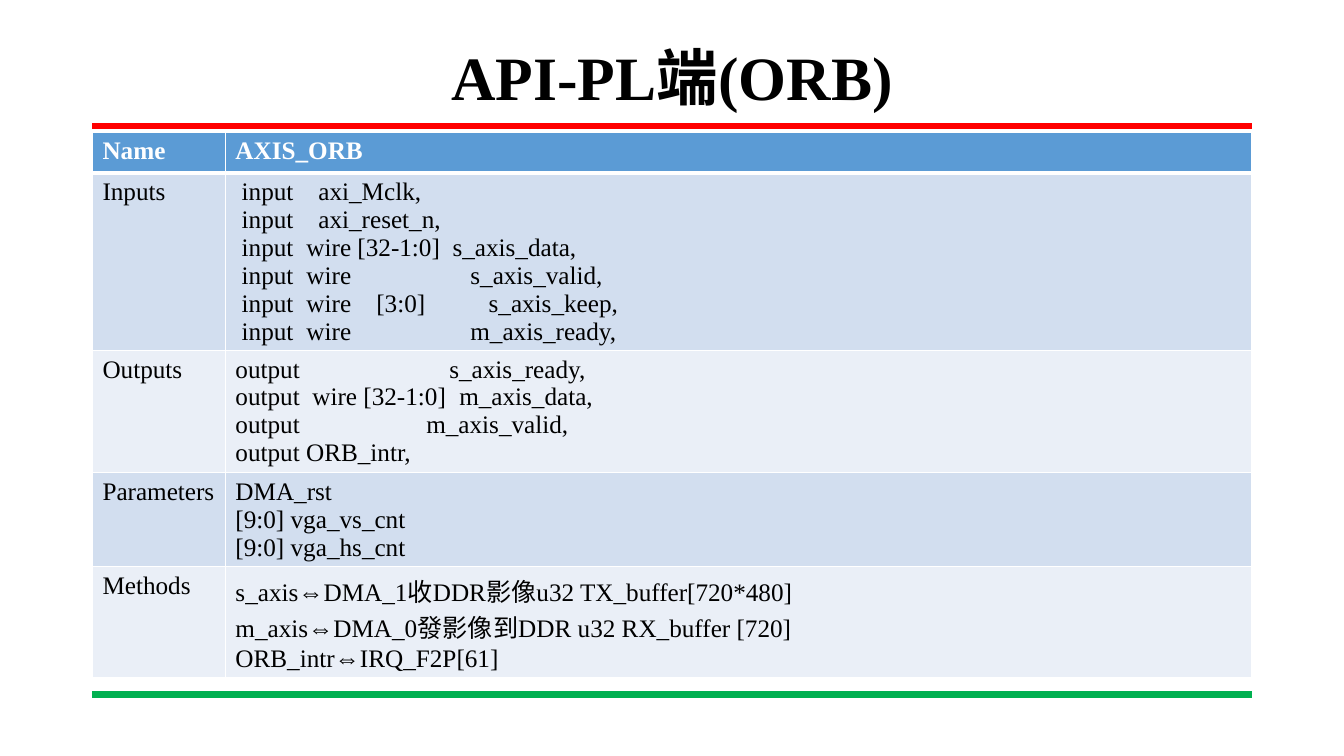
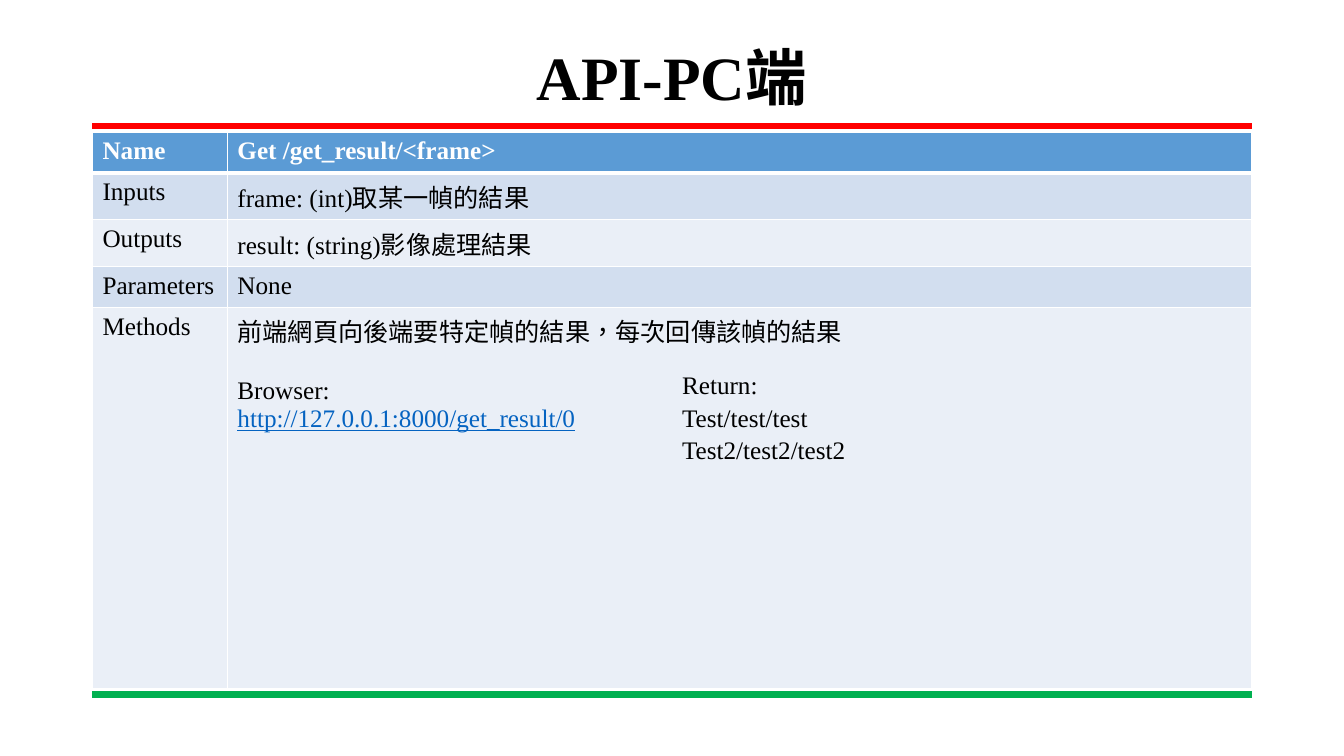
import dataclasses

import lxml.etree
import pptx
import pptx.dml.color
import pptx.enum.lang
import pptx.enum.shapes
import pptx.enum.text
import pptx.oxml.ns
import pptx.util

Cm = pptx.util.Cm
Pt = pptx.util.Pt
qn = pptx.oxml.ns.qn

LEFT, WIDTH = 2.33, 29.21
FIELDS = ("Name", "Inputs", "Outputs", "Parameters", "Methods")


@dataclasses.dataclass
class Line:
    text: str
    tabs: tuple = ()
    space_before: float = 0
    address: bool = False


def colour(value):
    return pptx.dml.color.RGBColor.from_string(value)


def apply(target, values):
    for name, value in values.items():
        setattr(target, name, value)


class Deck:
    black, white = "000000", "FFFFFF"
    top_band, bottom_band = "FF0000", "00B050"
    header, stripes = "5B9BD5", ("EAEFF7", "D2DEEF")
    link = "0563C1"
    font = {
        "name": "Times New Roman",
        "size": Pt(18),
        "bold": False,
        "language_id": pptx.enum.lang.MSO_LANGUAGE_ID.TRADITIONAL_CHINESE,
    }
    title_font = {"size": Pt(44), "bold": True}
    title_frame = {
        "vertical_anchor": pptx.enum.text.MSO_ANCHOR.MIDDLE,
        "auto_size": pptx.enum.text.MSO_AUTO_SIZE.NONE,
        "word_wrap": True,
    }
    title_paragraph = {"alignment": pptx.enum.text.PP_ALIGN.CENTER, "line_spacing": 0.9}

    def __init__(self):
        self.presentation = pptx.Presentation()
        apply(self.presentation, {"slide_width": Cm(33.87), "slide_height": Cm(19.05)})
        self.slide = None

    def add_slide(self, title):
        layout = self.presentation.slide_layouts.get_by_name("Title Only")
        self.slide = self.presentation.slides.add_slide(layout)
        self.band(3.18, self.top_band)
        self.band(17.5, self.bottom_band)
        self.title(title)

    def band(self, top, fill):
        connector = self.slide.shapes.add_connector(
            pptx.enum.shapes.MSO_CONNECTOR.STRAIGHT,
            Cm(LEFT), Cm(top), Cm(LEFT + WIDTH), Cm(top),
        )
        connector.line.width = Pt(4.5)
        connector.line.color.rgb = colour(fill)
        lxml.etree.SubElement(connector._element.spPr, qn("a:effectLst"))

    def title(self, text):
        shape = self.slide.shapes.title
        apply(shape, {"left": Cm(LEFT), "top": Cm(1.02), "width": Cm(WIDTH), "height": Cm(2)})
        apply(shape.text_frame, self.title_frame)
        self.fill_text(shape.text_frame, [text], font=self.title_font, layout=self.title_paragraph)

    def fill_text(self, frame, lines, fill=black, font=None, layout=None):
        for index, line in enumerate(lines):
            if isinstance(line, str):
                line = Line(line)
            paragraph = frame.add_paragraph() if index else frame.paragraphs[0]
            apply(paragraph, {"space_before": Pt(line.space_before), **(layout or {})})
            if line.tabs:
                self.tabs(paragraph, line.tabs)
            run = paragraph.add_run()
            run.text = line.text
            apply(run.font, {**self.font, "underline": line.address, **(font or {})})
            run.font.color.rgb = colour(self.link if line.address else fill)

    def tabs(self, paragraph, stops):
        tab_list = lxml.etree.SubElement(paragraph._p.get_or_add_pPr(), qn("a:tabLst"))
        for stop in stops:
            lxml.etree.SubElement(tab_list, qn("a:tab"), pos=str(int(Cm(stop))), algn="l")

    def borders(self, cell, widths):
        properties = cell._tc.get_or_add_tcPr()
        for side, width in zip("LRTB", widths):
            line = lxml.etree.SubElement(properties, qn(f"a:ln{side}"), w=str(int(Pt(width))))
            solid = lxml.etree.SubElement(line, qn("a:solidFill"))
            lxml.etree.SubElement(solid, qn("a:srgbClr"), val=self.white)

    def table(self, label_width, heights, contents):
        table = self.slide.shapes.add_table(
            len(FIELDS), 2, Cm(LEFT), Cm(3.33), Cm(WIDTH), Cm(sum(heights))
        ).table
        for column, width in zip(table.columns, (label_width, WIDTH - label_width)):
            column.width = Cm(width)
        for index, (field, lines) in enumerate(zip(FIELDS, contents)):
            table.rows[index].height = Cm(heights[index])
            is_header = index == 0
            fill = self.header if is_header else self.stripes[index % 2]
            for cell, cell_lines in zip(table.rows[index].cells, ([field], lines)):
                self.borders(cell, (1, 1, 3 if index == 1 else 1, 3 if is_header else 1))
                cell.fill.solid()
                cell.fill.fore_color.rgb = colour(fill)
                self.fill_text(
                    cell.text_frame, cell_lines,
                    self.white if is_header else self.black, {"bold": is_header},
                )

    def text_box(self, left, top, width, height, lines):
        shape = self.slide.shapes.add_textbox(Cm(left), Cm(top), Cm(width), Cm(height))
        shape.text_frame.word_wrap = False
        self.fill_text(shape.text_frame, lines, layout={"line_spacing": 1.07})


def main():
    deck = Deck()

    deck.add_slide("API-PL端(ORB)")
    deck.table(3.35, (1.03, 4.46, 3.08, 2.37, 2.8), (
        ["AXIS_ORB"],
        [
            Line(" input\taxi_Mclk,", (2.09,)),
            Line(" input\taxi_reset_n,", (2.09,)),
            Line(" input\twire [32-1:0]\ts_axis_data,", (1.79, 5.47)),
            Line(" input\twire\ts_axis_valid,", (1.79, 5.92)),
            Line(" input\twire\t[3:0]\ts_axis_keep,", (1.79, 3.55, 6.38)),
            Line(" input\twire\tm_axis_ready,", (1.79, 5.92)),
        ],
        [
            Line("output\ts_axis_ready,", (5.39,)),
            Line("output\twire [32-1:0]\tm_axis_data,", (1.94, 5.64)),
            Line("output\tm_axis_valid,", (4.81,)),
            "output ORB_intr,",
        ],
        ["DMA_rst", "[9:0] vga_vs_cnt", "[9:0] vga_hs_cnt"],
        [
            "s_axis⇔DMA_1收DDR影像u32 TX_buffer[720*480]",
            "m_axis⇔DMA_0發影像到DDR u32 RX_buffer [720]",
            "ORB_intr⇔IRQ_F2P[61]",
        ],
    ))

    deck.add_slide("API-PC端")
    deck.table(3.4, (1.03, 1.18, 1.18, 1.03, 9.6), (
        ["Get /get_result/<frame>"],
        ["frame: (int)取某一幀的結果"],
        ["result: (string)影像處理結果"],
        ["None"],
        [
            "前端網頁向後端要特定幀的結果，每次回傳該幀的結果",
            Line("Browser:", space_before=20),
            Line("http://127.0.0.1:8000/get_result/0", address=True),
        ],
    ))
    deck.text_box(16.94, 9.14, 4.67, 3.33, ["Return:", "Test/test/test", "Test2/test2/test2"])

    deck.presentation.save("out.pptx")


if __name__ == "__main__":
    main()
